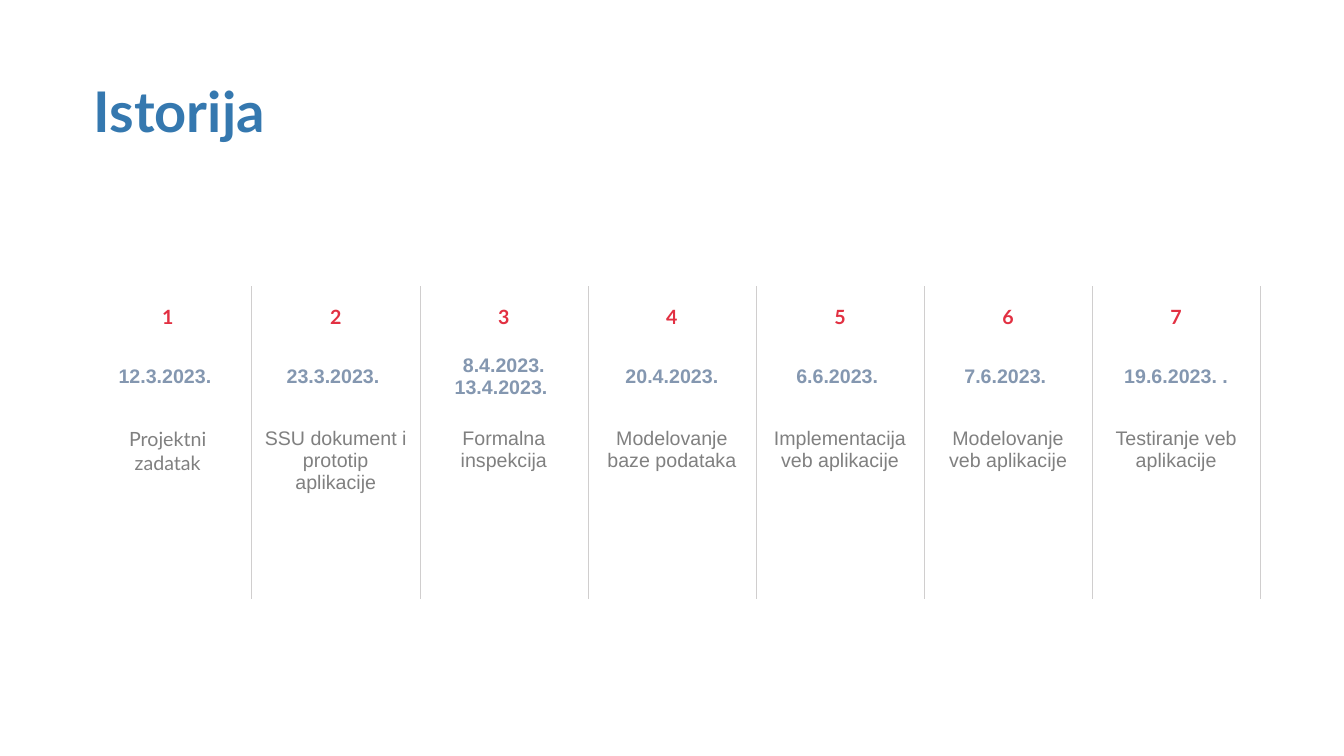
from dataclasses import dataclass

from lxml.etree import SubElement
from pptx import Presentation
from pptx.dml.color import RGBColor as RGB
from pptx.enum.text import MSO_ANCHOR as Anchor, PP_ALIGN as Align
from pptx.oxml.ns import qn
from pptx.table import _Cell as Cell
from pptx.text.text import TextFrame as Frame
from pptx.util import Inches, Pt

COLORS = {
    "title": "3578AF",
    "number": "E23042",
    "date": "8497B0",
    "task": "808080",
    "rule": "D0CECE",
}


@dataclass
class Stage:
    date: str
    task: str
    font: str = "Arial"


@dataclass
class Style:
    color: str
    font: str
    size: int = 14
    bold: bool = True
    align: Align = Align.CENTER


STAGES = [
    Stage("12.3.2023. ", "Projektni zadatak", "Lato"),
    Stage("23.3.2023. ", "SSU dokument i prototip aplikacije"),
    Stage("8.4.2023. 13.4.2023. ", "Formalna inspekcija"),
    Stage("20.4.2023.", "Modelovanje baze podataka"),
    Stage("6.6.2023. ", "Implementacija veb aplikacije"),
    Stage("7.6.2023. ", "Modelovanje veb aplikacije"),
    Stage("19.6.2023. .", "Testiranje veb aplikacije"),
]
HEIGHTS = [0.6, 0.6, 1.9]
WIDTH = 11.67


def write(frame: Frame, text: str, style: Style) -> None:
    frame.text = text
    para = frame.paragraphs[0]
    para.alignment = style.align
    para.space_before = Pt(0)
    font = para.runs[0].font
    font.name = style.font
    font.size = Pt(style.size)
    font.bold = style.bold
    font.color.rgb = RGB.from_string(COLORS[style.color])


def rule(cell: Cell, sides: str) -> None:
    """Draw the named sides (L, R, T, B) and clear the others."""
    props = cell._tc.get_or_add_tcPr()
    for side in "LRTB":
        line = SubElement(props, qn(f"a:ln{side}"), w=str(Pt(0.5)))
        if side in sides:
            fill = SubElement(line, qn("a:solidFill"))
            SubElement(fill, qn("a:srgbClr"), val=COLORS["rule"])
        else:
            SubElement(line, qn("a:noFill"))
    cell.fill.background()


def main() -> None:
    deck = Presentation()
    deck.slide_width, deck.slide_height = Inches(13.33), Inches(7.5)
    slide = deck.slides.add_slide(deck.slide_layouts[5])

    title = slide.shapes.title
    title.left, title.top = Inches(0.83), Inches(0.78)
    title.width, title.height = Inches(11.58), Inches(0.71)
    write(title.text_frame, "Istorija",
          Style("title", "Lato", 40, align=Align.LEFT))
    title.text_frame.vertical_anchor = Anchor.MIDDLE
    title.text_frame.paragraphs[0].line_spacing = 0.9

    table = slide.shapes.add_table(
        len(HEIGHTS), len(STAGES), Inches(0.83), Inches(2.84),
        Inches(WIDTH), Inches(sum(HEIGHTS))).table
    table.first_row = table.horz_banding = False
    for row, height in zip(table.rows, HEIGHTS):
        row.height = Inches(height)

    for col, stage in enumerate(STAGES):
        table.columns[col].width = Inches(WIDTH / len(STAGES))
        entries = [
            (str(col + 1), Style("number", "Lato")),
            (stage.date, Style("date", "Arial")),
            (stage.task, Style("task", stage.font, bold=False)),
        ]
        for row, (text, style) in enumerate(entries):
            cell = table.cell(row, col)
            write(cell.text_frame, text, style)
            rule(cell, "LR" if col else "R")
            cell.vertical_anchor = Anchor.MIDDLE
        cell.vertical_anchor = Anchor.TOP
        cell.margin_top = Inches(0.2)

    deck.save("out.pptx")


if __name__ == "__main__":
    main()
